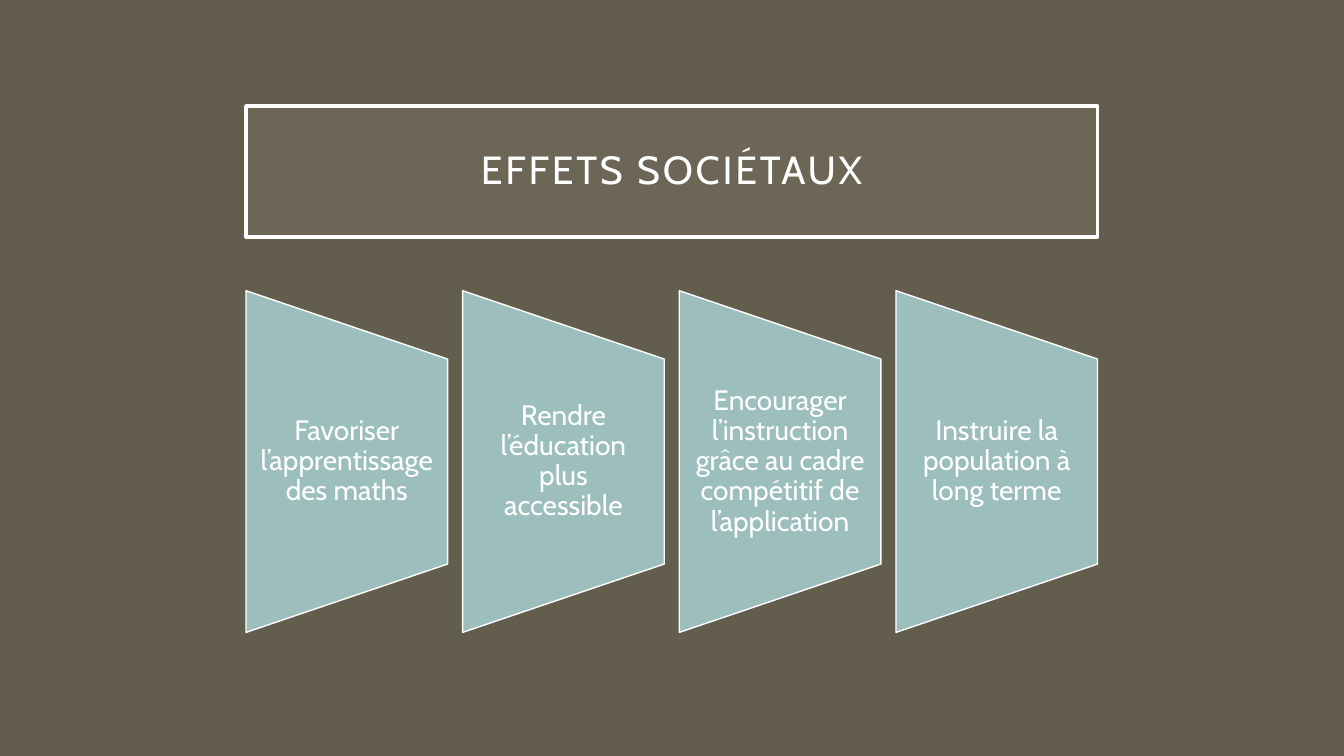
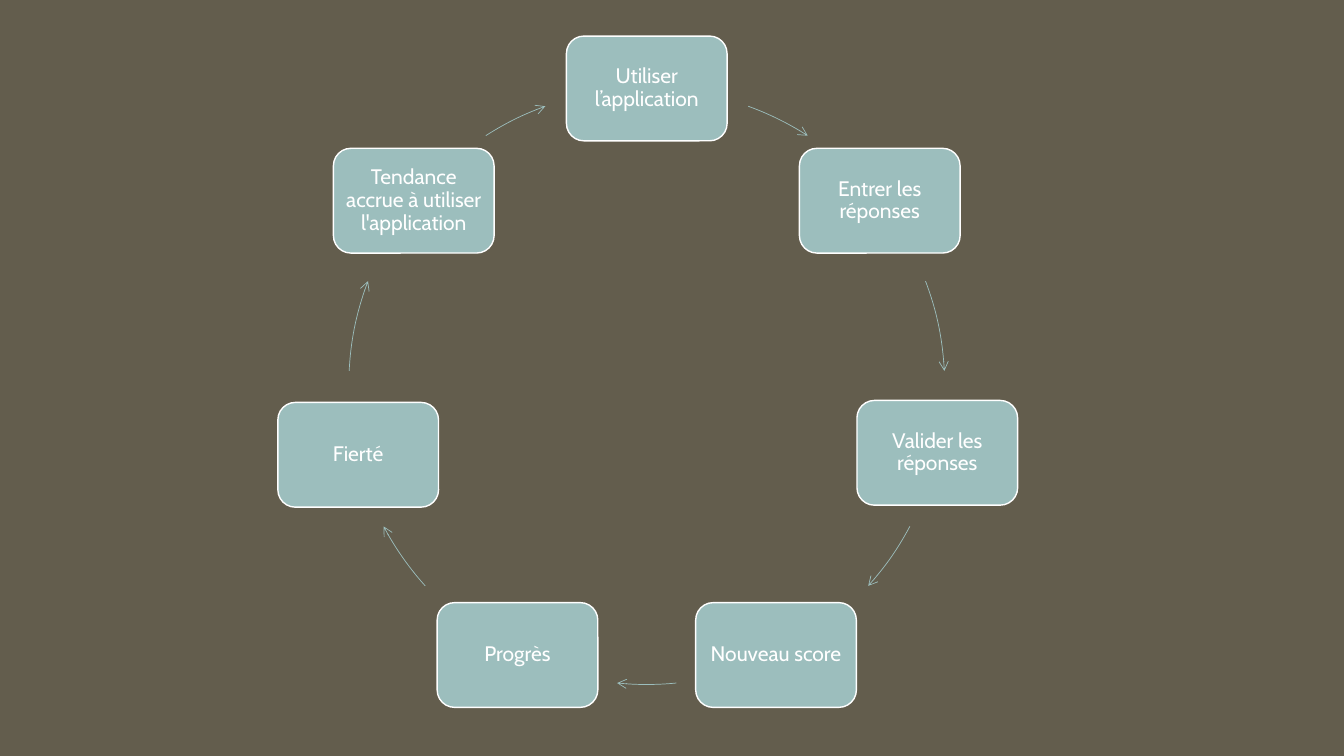
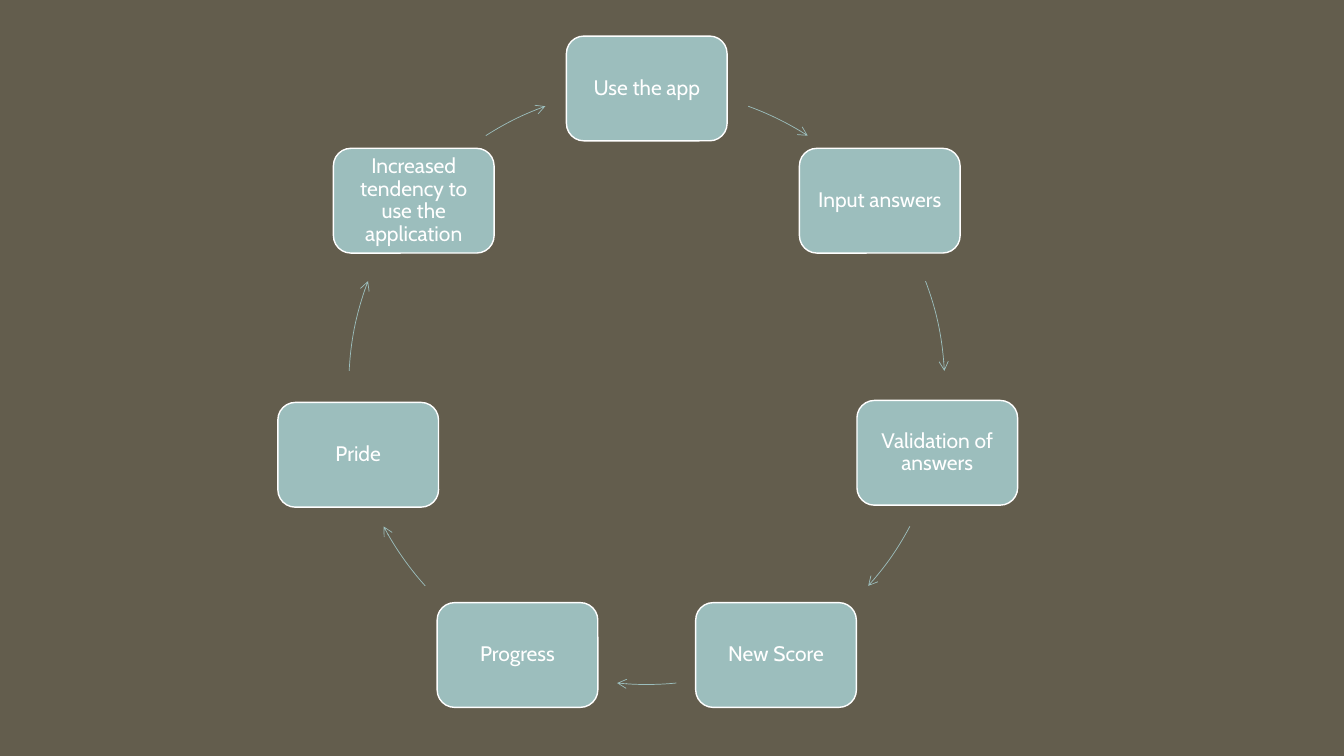
import math

import lxml.etree
import pptx
import pptx.dml.color
import pptx.enum.shapes
import pptx.enum.text
import pptx.oxml.ns
import pptx.util

Cm = pptx.util.Cm
Pt = pptx.util.Pt
qn = pptx.oxml.ns.qn
SHAPES = pptx.enum.shapes.MSO_SHAPE

BROWN = "635D4D"
BEIGE = "A7A08E"
TEAL = "9CBEBD"
WHITE = "FFFFFF"
FONT = "Cabin"


def paint(shape, fill=None, line=WHITE, line_width=1):
    """Set fill, outline and no shadow; without a fill the shape is hollow."""
    shape.shadow.inherit = False
    if fill:
        shape.fill.solid()
        shape.fill.fore_color.rgb = pptx.dml.color.RGBColor.from_string(fill)
    else:
        shape.fill.background()
    shape.line.color.rgb = pptx.dml.color.RGBColor.from_string(line)
    shape.line.width = Pt(line_width)


def write(shape, text, size, color=WHITE, side_inset=0.15, top_inset=0.15, tracking=0):
    """Write one centred paragraph; insets are in centimetres, tracking in points."""
    frame = shape.text_frame
    frame.word_wrap = True
    frame.vertical_anchor = pptx.enum.text.MSO_ANCHOR.MIDDLE
    frame.margin_left = frame.margin_right = Cm(side_inset)
    frame.margin_top = frame.margin_bottom = Cm(top_inset)
    paragraph = frame.paragraphs[0]
    paragraph.alignment = pptx.enum.text.PP_ALIGN.CENTER
    paragraph.line_spacing = 0.9
    run = paragraph.add_run()
    run.text = text
    run.font.name = FONT
    run.font.size = Pt(size)
    run.font.color.rgb = pptx.dml.color.RGBColor.from_string(color)
    if tracking:
        run.font._element.set("spc", str(tracking * 100))


presentation = pptx.Presentation()
presentation.slide_width = Cm(33.87)
presentation.slide_height = Cm(19.05)
background = presentation.slide_master.background.fill
background.solid()
background.fore_color.rgb = pptx.dml.color.RGBColor.from_string(BROWN)
blank_layout = presentation.slide_layouts[6]

# Social effects: a framed title above four trapezoids
slide = presentation.slides.add_slide(blank_layout)
title = slide.shapes.add_shape(SHAPES.RECTANGLE, Cm(6.2), Cm(2.67), Cm(21.46), Cm(3.3))
paint(title, BEIGE, line_width=2.5)
title_color = title._element.spPr.find(qn("a:solidFill"))[0]
lxml.etree.SubElement(title_color, qn("a:alpha"), val="15000")
write(title, "EFFETS SOCIÉTAUX", 28, side_inset=0.5, top_inset=0.5, tracking=2)

effects = [
    "Favoriser l’apprentissage des maths",
    "Rendre l’éducation plus accessible",
    "Encourager l’instruction grâce au cadre compétitif de l’application",
    "Instruire la population à long terme",
]
panel_width, panel_height, panel_pitch = 5.08, 8.61, 5.46
label_height = 5.18
middle = 11.63
for index, effect in enumerate(effects):
    left = 6.2 + index * panel_pitch
    # The preset narrows downwards, so it is turned to narrow to the right
    panel = slide.shapes.add_shape(
        SHAPES.FLOWCHART_MANUAL_OPERATION,
        Cm(left + (panel_width - panel_height) / 2), Cm(middle - panel_width / 2),
        Cm(panel_height), Cm(panel_width))
    panel.rotation = 270
    paint(panel, TEAL)
    label = slide.shapes.add_textbox(
        Cm(left), Cm(middle - label_height / 2), Cm(panel_width), Cm(label_height))
    write(label, effect, 20, side_inset=0.36, top_inset=0)

# The same cycle of seven steps in French and in English
cycles = [
    ["Utiliser l’application", "Entrer les réponses", "Valider les réponses",
     "Nouveau score", "Progrès", "Fierté", "Tendance accrue à utiliser l'application"],
    ["Use the app", "Input answers", "Validation of answers",
     "New Score", "Progress", "Pride", "Increased tendency to use the application"],
]
center_x, center_y, radius = 16.3, 9.74, 7.51
box_width, box_height = 4.05, 2.64
# Start and end of each arrow, in degrees clockwise from the top
arrow_angles = [(19.9, 32.7), (69.3, 87), (118, 132), (174.3, 185.7),
                (228, 242), (273, 290.7), (327.3, 340.1)]
nudges = {5: 0.05}  # the sixth box sits slightly inside the circle

for steps in cycles:
    slide = presentation.slides.add_slide(blank_layout)
    for index, (step, angles) in enumerate(zip(steps, arrow_angles)):
        turn = 2 * math.pi * index / len(steps)
        nudge = nudges.get(index, 0)
        box = slide.shapes.add_shape(
            SHAPES.ROUNDED_RECTANGLE,
            Cm(center_x + radius * math.sin(turn) - box_width / 2 + nudge),
            Cm(center_y - radius * math.cos(turn) - box_height / 2 + nudge),
            Cm(box_width), Cm(box_height))
        paint(box, TEAL)
        write(box, step, 15)

        arrow = slide.shapes.add_shape(
            SHAPES.ARC, Cm(center_x - radius), Cm(center_y - radius),
            Cm(2 * radius), Cm(2 * radius))
        for position, angle in enumerate(angles):
            # Arc angles count from the right, in units of 1/0.6 degree
            arrow.adjustments[position] = (angle - 90) % 360 * 0.6
        paint(arrow, line=TEAL, line_width=0.5)
        lxml.etree.SubElement(arrow.line._ln, qn("a:tailEnd"), type="arrow")

presentation.save("out.pptx")
